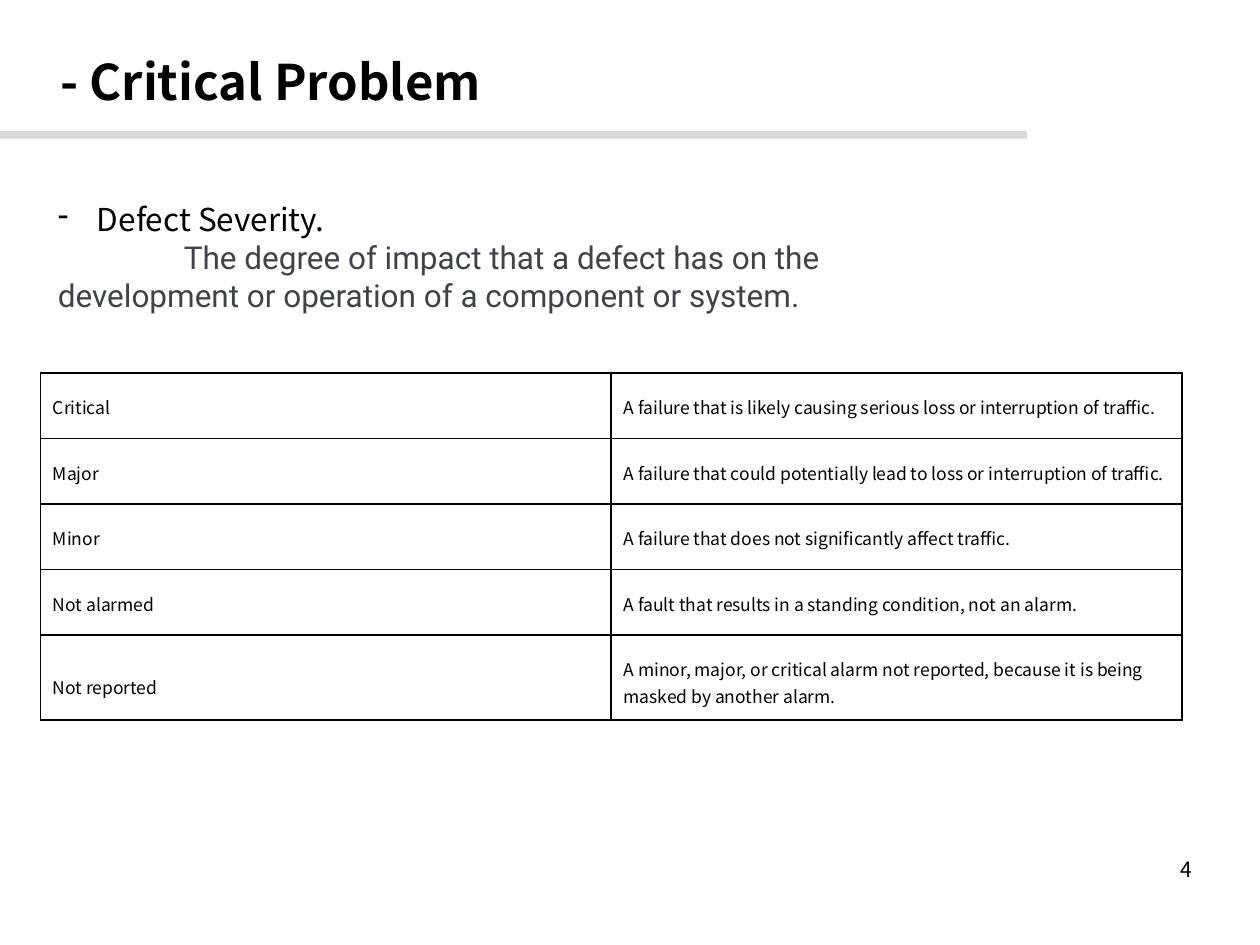
import pptx
import pptx.dml.color
import pptx.enum.shapes
import pptx.enum.text
import pptx.oxml.ns
import pptx.util
from lxml import etree

Inches = pptx.util.Inches
Pt = pptx.util.Pt
ANCHOR = pptx.enum.text.MSO_ANCHOR
COLORS = {"text": "000000", "body": "404248", "rule": "D9D9D9", "border": "000000"}
FONT = "Noto Sans CJK KR"

presentation = pptx.Presentation()
presentation.slide_width = Inches(10)
presentation.slide_height = Inches(7.5)
slide = presentation.slides.add_slide(presentation.slide_layouts[6])


def add_text_frame(left, top, width, height, anchor):
    text_frame = slide.shapes.add_textbox(
        Inches(left), Inches(top), Inches(width), Inches(height)).text_frame
    text_frame.word_wrap = True
    text_frame.vertical_anchor = anchor
    text_frame.margin_left = text_frame.margin_right = Inches(0.05)
    text_frame.margin_top = text_frame.margin_bottom = Inches(0.05)
    return text_frame


def add_run(paragraph, text, size, font=FONT, color="text", bold=False):
    run = paragraph.add_run()
    run.text = text
    run.font.size = Pt(size)
    run.font.name = font
    run.font.bold = bold
    run.font.color.rgb = pptx.dml.color.RGBColor.from_string(COLORS[color])


rule = slide.shapes.add_shape(
    pptx.enum.shapes.MSO_SHAPE.RECTANGLE, 0, Inches(1.04), Inches(8.15), Inches(0.06))
rule.shadow.inherit = False
rule.fill.solid()
rule.fill.fore_color.rgb = pptx.dml.color.RGBColor.from_string(COLORS["rule"])
rule.line.fill.background()

title = add_text_frame(0.43, 0, 8.83, 1.28, ANCHOR.MIDDLE)
add_run(title.paragraphs[0], "- Critical Problem", 28, bold=True)

page_number = add_text_frame(7.18, 6.75, 2.33, 0.3, ANCHOR.MIDDLE)
page_number.paragraphs[0].alignment = pptx.enum.text.PP_ALIGN.RIGHT
add_run(page_number.paragraphs[0], "4", 12)

severities = [
    ("Critical", "A failure that is likely causing serious loss or interruption of traffic."),
    ("Major", "A failure that could potentially lead to loss or interruption of traffic."),
    ("Minor", "A failure that does not significantly affect traffic."),
    ("Not alarmed", "A fault that results in a standing condition, not an alarm."),
    ("Not reported", "A minor, major, or critical alarm not reported, because it is being "
                     "masked by another alarm."),
]
table = slide.shapes.add_table(
    len(severities), 2, Inches(0.32), Inches(2.96), Inches(9.06), Inches(2.57)).table
table.first_row = False
table.horz_banding = False
for row, severity in zip(table.rows, severities):
    row.height = Inches(0.52)
    for cell, text in zip(row.cells, severity):
        cell.vertical_anchor = ANCHOR.BOTTOM
        cell.margin_left = cell.margin_right = Inches(0.1)
        cell.margin_top = cell.margin_bottom = Inches(0.16)
        paragraph = cell.text_frame.paragraphs[0]
        paragraph.line_spacing = 1.07
        paragraph.space_after = Pt(8)
        add_run(paragraph, text, 10)
        properties = cell._tc.get_or_add_tcPr()
        for side in ("a:lnL", "a:lnR", "a:lnT", "a:lnB"):
            border = etree.SubElement(properties, pptx.oxml.ns.qn(side), w=str(Pt(1)))
            fill = etree.SubElement(border, pptx.oxml.ns.qn("a:solidFill"))
            etree.SubElement(fill, pptx.oxml.ns.qn("a:srgbClr"), val=COLORS["border"])
        cell.fill.background()

definition = add_text_frame(0.41, 1.54, 7.1, 1.01, ANCHOR.TOP)
heading = definition.paragraphs[0]
heading_properties = heading._p.get_or_add_pPr()
heading_properties.set("marL", str(Inches(0.31)))
heading_properties.set("indent", str(-Inches(0.31)))
etree.SubElement(heading_properties, pptx.oxml.ns.qn("a:buChar"), char="-")
add_run(heading, "Defect Severity.", 18)
description = definition.add_paragraph()
description._p.get_or_add_pPr().set("indent", str(Inches(1)))
add_run(description, "The degree of impact that a defect has on the development or operation "
                     "of a component or system.", 18, "Roboto", "body")

presentation.save("out.pptx")
